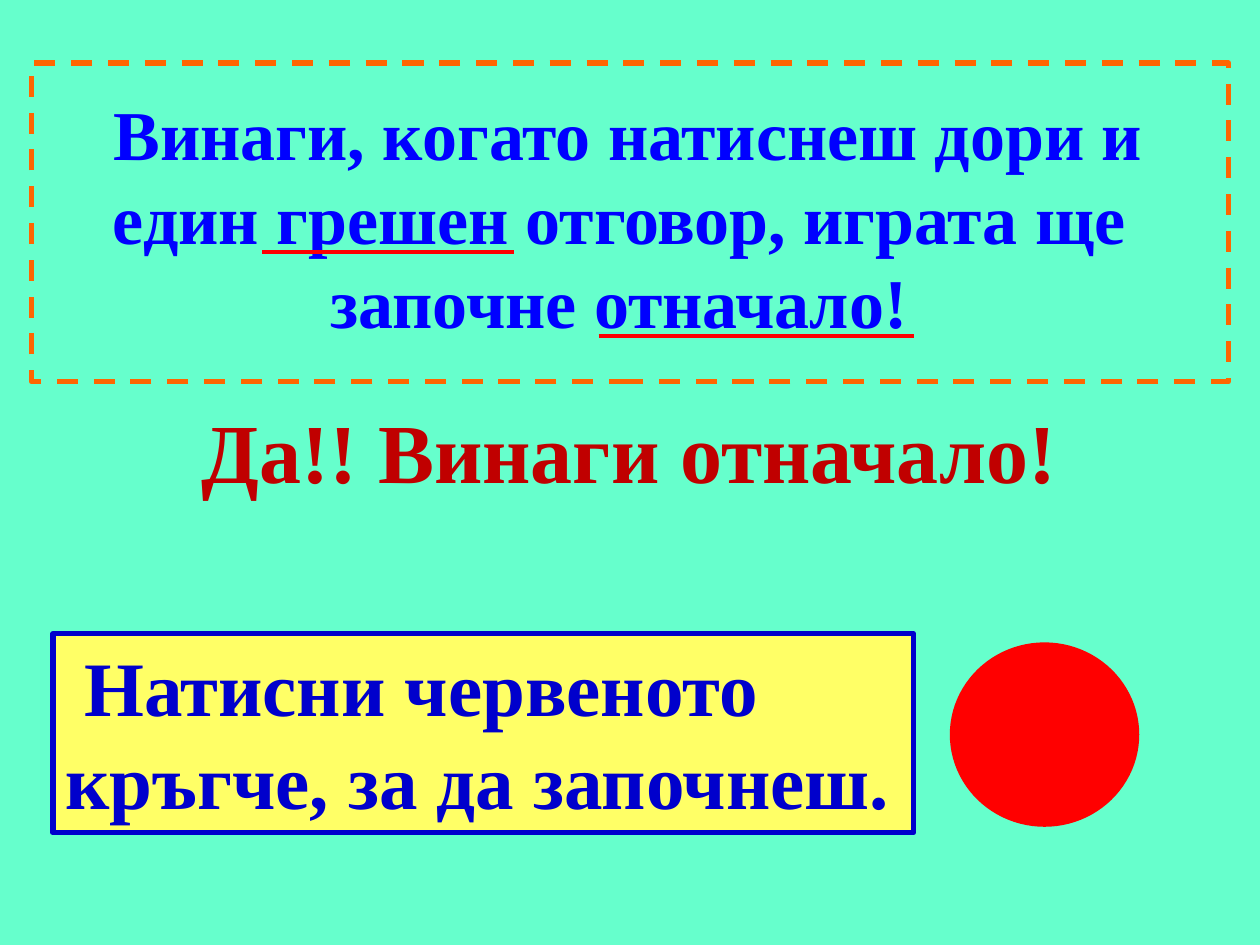
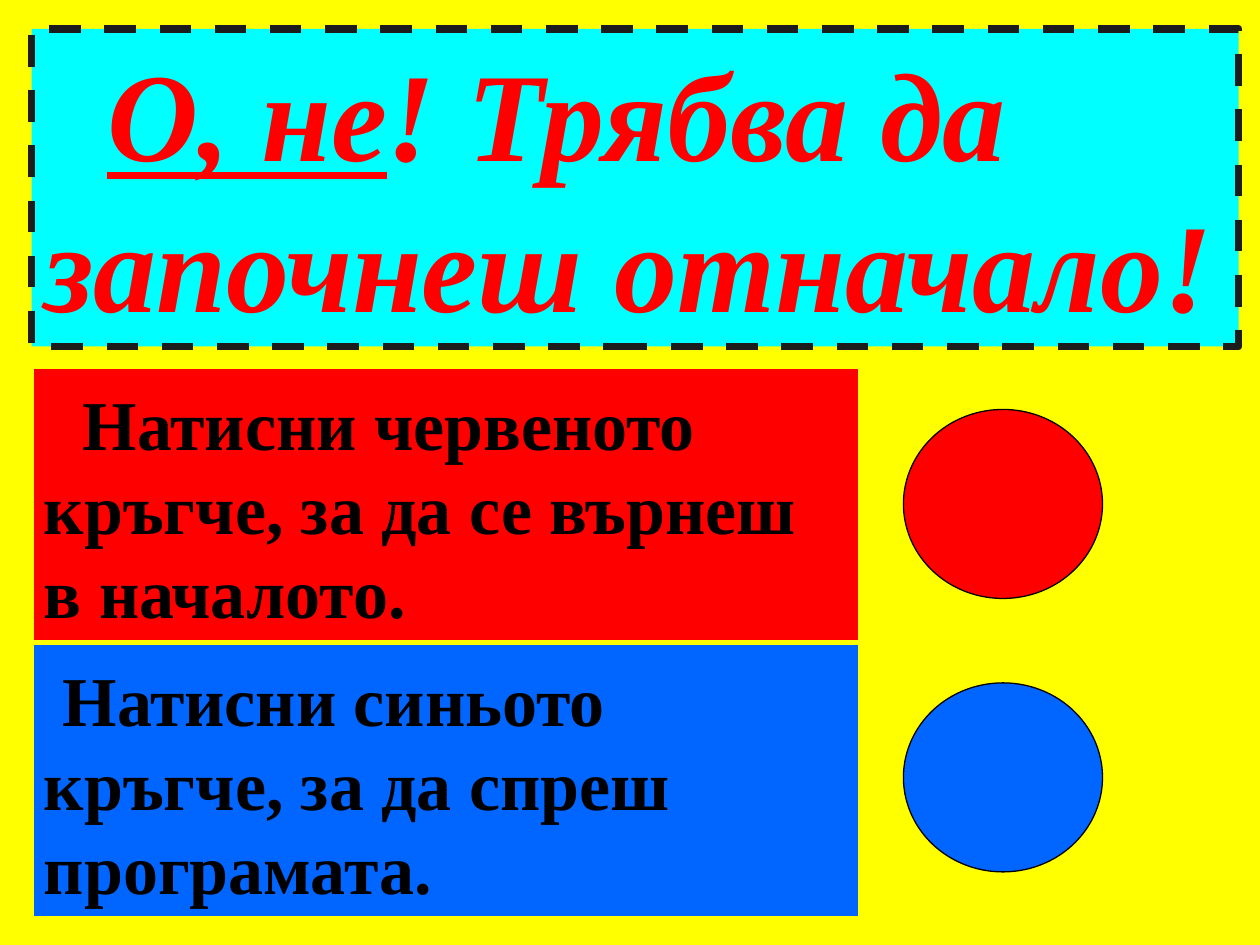
import dataclasses
import typing

import pptx
import pptx.dml.color
import pptx.enum.dml
import pptx.enum.shapes
import pptx.enum.text
import pptx.oxml.ns
import pptx.util
from lxml import etree
from pptx.util import Inches

FACE = "Times New Roman"
RED, BLUE, NAVY, BLACK = "FF0000", "0066FF", "0000CC", "000000"
YELLOW, MINT = "FFFF00", "66FFCC"
RECT = pptx.enum.shapes.MSO_SHAPE.RECTANGLE
DOT = pptx.enum.shapes.MSO_SHAPE.FLOWCHART_CONNECTOR
LEFT, CENTER = pptx.enum.text.PP_ALIGN.LEFT, pptx.enum.text.PP_ALIGN.CENTER


@dataclasses.dataclass(frozen=True)
class Box:
    left: float
    top: float
    width: float
    height: float

    def place(self) -> tuple:
        return tuple(Inches(v) for v in dataclasses.astuple(self))


@dataclasses.dataclass(frozen=True)
class Look:
    fill: typing.Optional[str]
    line: str
    weight: float
    dash: bool = False


@dataclasses.dataclass(frozen=True)
class Style:
    size: float
    color: str
    italic: bool = False
    align: typing.Any = LEFT
    indent: float = 0
    inset: float = 0.05


@dataclasses.dataclass(frozen=True)
class Choice:
    """A coloured instruction with its matching dot."""
    text: str
    color: str
    top: float
    dot: float
    indent: float


def rgb(color: str) -> pptx.dml.color.RGBColor:
    return pptx.dml.color.RGBColor.from_string(color)


def paint(shape, look: Look) -> None:
    if look.fill:
        shape.fill.solid()
        shape.fill.fore_color.rgb = rgb(look.fill)
    else:
        shape.fill.background()
    shape.line.color.rgb = rgb(look.line)
    shape.line.width = pptx.util.Pt(look.weight)
    if look.dash:
        shape.line.dash_style = pptx.enum.dml.MSO_LINE.DASH


def write(shape, style: Style, *parts: str, under: str = "") -> None:
    """Fill one paragraph with runs, underlining the part equal to under."""
    frame = shape.text_frame
    frame.word_wrap = True
    frame.auto_size = pptx.enum.text.MSO_AUTO_SIZE.NONE
    frame.vertical_anchor = pptx.enum.text.MSO_ANCHOR.TOP
    frame.margin_left = frame.margin_right = Inches(0.1)
    frame.margin_top, frame.margin_bottom = Inches(style.inset), Inches(0.05)
    para = frame.paragraphs[0]
    para.alignment = style.align
    if style.indent:
        props = para._p.get_or_add_pPr()
        props.set("marL", "0")
        props.set("indent", str(Inches(style.indent)))
    for part in parts:
        run = para.add_run()
        run.text = part
        if part == under:
            run.font.underline = True
    font = para.font
    font.name, font.size = FACE, pptx.util.Pt(style.size)
    font.bold, font.italic = True, style.italic
    font.color.rgb = rgb(style.color)


def draw(slide, kind, box: Box, look: Look):
    shape = slide.shapes.add_shape(kind, *box.place())
    shape.shadow.inherit = False
    paint(shape, look)
    return shape


def mark(slide, left: float, right: float, y: float) -> None:
    """Draw a red underline."""
    line = slide.shapes.add_connector(
        pptx.enum.shapes.MSO_CONNECTOR.STRAIGHT,
        Inches(left), Inches(y), Inches(right), Inches(y))
    line.line.color.rgb = rgb(RED)
    line.line.width = pptx.util.Pt(2.25)
    etree.SubElement(line._element.spPr, pptx.oxml.ns.qn("a:effectLst"))


def start(deck, color: str, box: Box):
    """Add a slide with a plain background and a placed title."""
    slide = deck.slides.add_slide(deck.slide_layouts[5])
    slide.background.fill.solid()
    slide.background.fill.fore_color.rgb = rgb(color)
    title = slide.shapes.title
    title.left, title.top, title.width, title.height = box.place()
    return slide, title


def rules(deck) -> None:
    slide, title = start(deck, MINT, Box(0.83, 3.12, 8.33, 0.91))
    write(title, Style(48, "C00000", align=CENTER), "Да!! Винаги отначало!")
    draw(slide, DOT, Box(7.58, 5.14, 1.42, 1.38), Look(RED, RED, 6))
    begin = draw(slide, RECT, Box(0.42, 5.03, 6.83, 1.58),
                 Look("FFFF66", NAVY, 3))
    write(begin, Style(44, NAVY, indent=0.15),
          "Натисни червеното кръгче, за да започнеш.")
    note = slide.shapes.add_textbox(*Box(0.08, 0.67, 9.67, 2.12).place())
    write(note, Style(40, "0000FF", align=CENTER, indent=0.14),
          "Винаги, когато натиснеш дори и един грешен отговор, "
          "играта ще започне отначало!")
    mark(slide, 2.08, 4.08, 2)
    mark(slide, 4.75, 7.25, 2.67)
    draw(slide, RECT, Box(0.25, 0.5, 9.5, 2.53),
         Look(None, "FF6600", 3, True))


def retry(deck) -> None:
    slide, title = start(deck, YELLOW, Box(0.25, 0.23, 9.58, 2.52))
    paint(title, Look("00FFFF", "1C1C1C", 4.5, True))
    write(title, Style(72, RED, italic=True, indent=0.5),
          "О, не", "! Трябва да започнеш отначало!", under="О, не")
    choices = (
        Choice("Натисни червеното кръгче, за да се върнеш в началото.",
               RED, 2.91, 3.25, 0.31),
        Choice("Натисни синьото кръгче, за да спреш програмата.",
               BLUE, 5.1, 5.42, 0.15),
    )
    for item in choices:
        panel = draw(slide, RECT, Box(0.25, item.top, 6.58, 2.19),
                     Look(item.color, YELLOW, 3))
        write(panel, Style(40, BLACK, indent=item.indent, inset=0.11),
              item.text)
        draw(slide, DOT, Box(7.17, item.dot, 1.58, 1.5),
             Look(item.color, BLACK, 0.75))


def main() -> None:
    deck = pptx.Presentation()
    deck.slide_width, deck.slide_height = Inches(10), Inches(7.5)
    rules(deck)
    retry(deck)
    deck.save("out.pptx")


if __name__ == "__main__":
    main()
